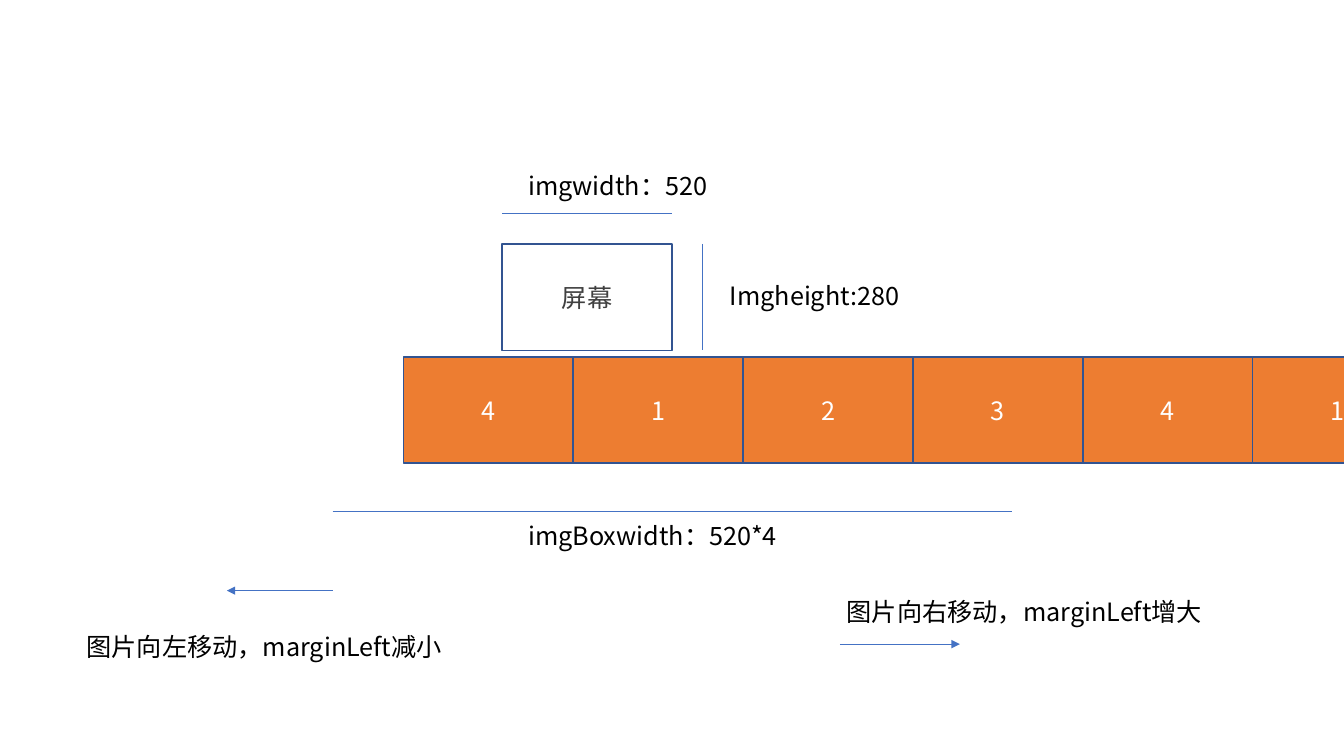
from lxml import etree
from pptx import Presentation
from pptx.dml.color import RGBColor
from pptx.enum import shapes, text
from pptx.oxml.ns import qn
from pptx.util import Inches, Pt

FONT = "Noto Sans CJK SC"
ORANGE = RGBColor(0xED, 0x7D, 0x31)
NAVY = RGBColor(0x32, 0x54, 0x91)
BLUE = RGBColor(0x44, 0x72, 0xC4)
WHITE = RGBColor(0xFF, 0xFF, 0xFF)
GRAY = RGBColor(0x40, 0x40, 0x40)
BLACK = RGBColor(0, 0, 0)

FRAME_WIDTH, FRAME_HEIGHT = 1.685, 1.055
STRIP_LEFT, STRIP_TOP = 4, 3.54
SCREEN_LEFT, SCREEN_TOP = 4.98, 2.42
BOX_LEFT, BOX_TOP = 3.3, 5.07
GAP = 0.3

frames = [(1, "1"), (2, "2"), (3, "3"), (4, "4"), (0, "4"), (5, "1")]
screen_right = SCREEN_LEFT + FRAME_WIDTH
measures = [
    (SCREEN_LEFT, SCREEN_TOP - GAP, FRAME_WIDTH, 0),
    (screen_right + GAP, SCREEN_TOP, 0, FRAME_HEIGHT),
    (BOX_LEFT, BOX_TOP, 4 * FRAME_WIDTH, 0),
]
arrows = [(8.33, 6.39, 1.19, 0), (BOX_LEFT, 5.86, -1.05, 0)]
labels = [
    ("imgwidth:520", 5.14, 1.64, 2.45),
    ("Imgheight:280", 7.14, 2.73, 1.92),
    ("imgBoxwidth:520*4", 5.14, 5.11, 2.84),
    ("图片向右移动,marginLeft增大", 8.3, 5.87, 4.03),
    ("图片向左移动,marginLeft减小", 0.76, 6.21, 4.03),
]
FULL_WIDTH = str.maketrans({":": "\uff1a", ",": "\uff0c"})


def write(shape, words, color):
    shape.text_frame.text = words
    font = shape.text_frame.paragraphs[0].runs[0].font
    font.size = Pt(18)
    font.name = FONT
    font.color.rgb = color
    etree.SubElement(font._element, qn("a:ea")).set("typeface", FONT)


def add_frame(parent, left, top, words, color, fill=None):
    shape = parent.add_shape(
        shapes.MSO_SHAPE.RECTANGLE,
        Inches(left), Inches(top), Inches(FRAME_WIDTH), Inches(FRAME_HEIGHT),
    )
    shape.shadow.inherit = False
    if fill is None:
        shape.fill.background()
    else:
        shape.fill.solid()
        shape.fill.fore_color.rgb = fill
    shape.line.color.rgb = NAVY
    shape.line.width = Pt(1)
    write(shape, words, color)
    shape.text_frame.vertical_anchor = text.MSO_ANCHOR.MIDDLE
    shape.text_frame.paragraphs[0].alignment = text.PP_ALIGN.CENTER


def add_line(left, top, across, down, arrow=False):
    connector = slide.shapes.add_connector(
        shapes.MSO_CONNECTOR.STRAIGHT,
        Inches(left), Inches(top), Inches(left + across), Inches(top + down),
    )
    connector.line.color.rgb = BLUE
    connector.line.width = Pt(0.5)
    properties = connector._element.spPr
    if arrow:
        etree.SubElement(properties.find(qn("a:ln")), qn("a:tailEnd")).set("type", "triangle")
    etree.SubElement(properties, qn("a:effectLst"))


presentation = Presentation()
presentation.slide_width = Inches(13.33)
presentation.slide_height = Inches(7.5)
slide = presentation.slides.add_slide(presentation.slide_layouts[6])

strip = slide.shapes.add_group_shape()
for slot, number in frames:
    add_frame(strip.shapes, STRIP_LEFT + slot * FRAME_WIDTH, STRIP_TOP, number, WHITE, ORANGE)
add_frame(slide.shapes, SCREEN_LEFT, SCREEN_TOP, "屏幕", GRAY)

for measure in measures:
    add_line(*measure)
for arrow in arrows:
    add_line(*arrow, arrow=True)

for words, left, top, width in labels:
    label = slide.shapes.add_textbox(Inches(left), Inches(top), Inches(width), Inches(0.4))
    label.text_frame.word_wrap = True
    label.text_frame.auto_size = text.MSO_AUTO_SIZE.SHAPE_TO_FIT_TEXT
    write(label, words if words.startswith("Imgheight") else words.translate(FULL_WIDTH), BLACK)

presentation.save("out.pptx")
